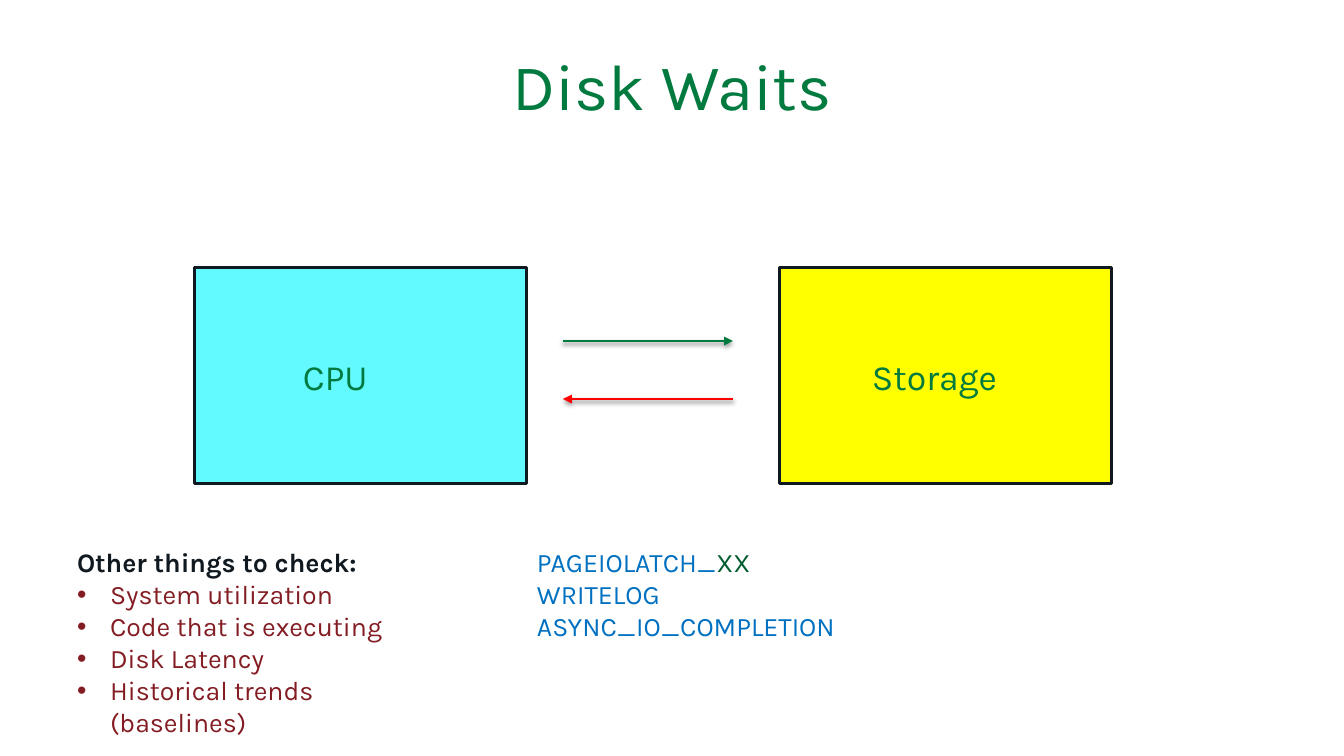
from lxml import etree
from pptx import Presentation
from pptx.dml.color import RGBColor
from pptx.enum.shapes import MSO_CONNECTOR, MSO_SHAPE
from pptx.enum.text import MSO_ANCHOR, PP_ALIGN
from pptx.oxml.ns import qn
from pptx.util import Emu, Pt

RECTANGLE = MSO_SHAPE.RECTANGLE
STRAIGHT = MSO_CONNECTOR.STRAIGHT
TOP, MIDDLE = MSO_ANCHOR.TOP, MSO_ANCHOR.MIDDLE
LEFT, CENTER = PP_ALIGN.LEFT, PP_ALIGN.CENTER

EMU_PER_PX = 8572.5
FONT = "Karla"
GREEN, DARK_GREEN, INK = "007A3E", "005C2E", "101820"
BLUE, MAROON, RED = "0070C0", "831D23", "FF0000"
CYAN, YELLOW, BLACK = "63FAFF", "FFFF00", "000000"
TEXT_INSETS = (11, 5, 11, 5)
BULLET_INDENT = 33


def px(length):
    """Convert slide pixels to EMU."""
    return Emu(round(length * EMU_PER_PX))


def color(hex_value):
    """Turn a hex string into a colour."""
    return RGBColor.from_string(hex_value)


def apply_format(target, values):
    """Set every attribute named in the format values."""
    for name, value in values.items():
        setattr(target, name, value)


def format_frame(frame, insets=(0, 0, 0, 0), anchor=MIDDLE):
    """Set wrapping, anchor and insets of a text frame."""
    sides = ("margin_left", "margin_top", "margin_right", "margin_bottom")
    values = {side: px(inset) for side, inset in zip(sides, insets)}
    apply_format(frame, {"word_wrap": True, "vertical_anchor": anchor, **values})


def add_run(paragraph, text, hex_value, size, bold=False):
    """Append one formatted run."""
    run = paragraph.add_run()
    run.text = text
    apply_format(run.font, {"name": FONT, "size": Pt(size), "bold": bold})
    run.font.color.rgb = color(hex_value)


def add_bullet(paragraph):
    """Give a paragraph a hanging round bullet."""
    properties = paragraph._p.get_or_add_pPr()
    properties.set("marL", str(px(BULLET_INDENT)))
    properties.set("indent", str(-px(BULLET_INDENT)))
    etree.SubElement(properties, qn("a:buFont"), typeface="Arial")
    etree.SubElement(properties, qn("a:buChar"), char="•")


def add_title(slide, text):
    """Add the centred slide title."""
    frame = slide.shapes.add_textbox(px(42), px(42), px(1260), px(84)).text_frame
    format_frame(frame)
    paragraph = frame.paragraphs[0]
    paragraph.alignment = CENTER
    add_run(paragraph, text, GREEN, 44)


def add_component(slide, left, label, fill, label_inset):
    """Add an outlined rectangle with an indented label."""
    shape = slide.shapes.add_shape(RECTANGLE, px(left), px(268), px(332), px(216))
    shape.shadow.inherit = False
    shape.fill.solid()
    shape.fill.fore_color.rgb = color(fill)
    shape.line.color.rgb = color(INK)
    shape.line.width = Pt(2)
    format_frame(shape.text_frame, (label_inset, 0, 0, 0))
    paragraph = shape.text_frame.paragraphs[0]
    paragraph.alignment = LEFT
    add_run(paragraph, label, GREEN, 24)


def add_arrow(slide, start, end, y, hex_value):
    """Add a horizontal arrow with a soft shadow below it."""
    arrow = slide.shapes.add_connector(STRAIGHT, px(start), px(y), px(end), px(y))
    arrow.line.color.rgb = color(hex_value)
    arrow.line.width = Pt(2)
    etree.SubElement(arrow.line._get_or_add_ln(), qn("a:tailEnd"), type="triangle")
    effects = etree.SubElement(arrow._element.spPr, qn("a:effectLst"))
    shadow = etree.SubElement(
        effects, qn("a:outerShdw"), blurRad=str(Pt(3.1)), dist=str(Pt(1.6)),
        dir="5400000", rotWithShape="0")
    shade = etree.SubElement(shadow, qn("a:srgbClr"), val=BLACK)
    etree.SubElement(shade, qn("a:alpha"), val="38000")


def add_list(slide, left, width, height, lines):
    """Add a text list from (bulleted, runs) lines."""
    box = slide.shapes.add_textbox(px(left), px(541), px(width), px(height))
    frame = box.text_frame
    format_frame(frame, TEXT_INSETS, TOP)
    for index, (bulleted, runs) in enumerate(lines):
        paragraph = frame.add_paragraph() if index else frame.paragraphs[0]
        if bulleted:
            add_bullet(paragraph)
        for text, hex_value, bold in runs:
            add_run(paragraph, text, hex_value, 18, bold)


def main():
    """Build and save the disk waits slide."""
    presentation = Presentation()
    apply_format(presentation, {"slide_width": px(1344), "slide_height": px(756)})
    slide = presentation.slides.add_slide(presentation.slide_layouts[6])
    add_title(slide, "Disk Waits")
    add_component(slide, 195, "CPU", CYAN, 108)
    add_component(slide, 780, "Storage", YELLOW, 92)
    add_arrow(slide, 733, 563, 399, RED)
    add_arrow(slide, 563, 733, 341, GREEN)
    add_list(slide, 526, 324, 108, [
        (False, [("PAGEIOLATCH_", BLUE, False), ("XX", DARK_GREEN, False)]),
        (False, [("WRITELOG", BLUE, False)]),
        (False, [("ASYNC_IO_COMPLETION", BLUE, False)]),
    ])
    checks = ("System utilization", "Code that is executing", "Disk Latency",
              "Historical trends (baselines)")
    add_list(slide, 66, 379, 173, [
        (False, [("Other things to check:", INK, True)]),
        *((True, [(check, MAROON, False)]) for check in checks),
    ])
    presentation.save("out.pptx")


if __name__ == "__main__":
    main()
